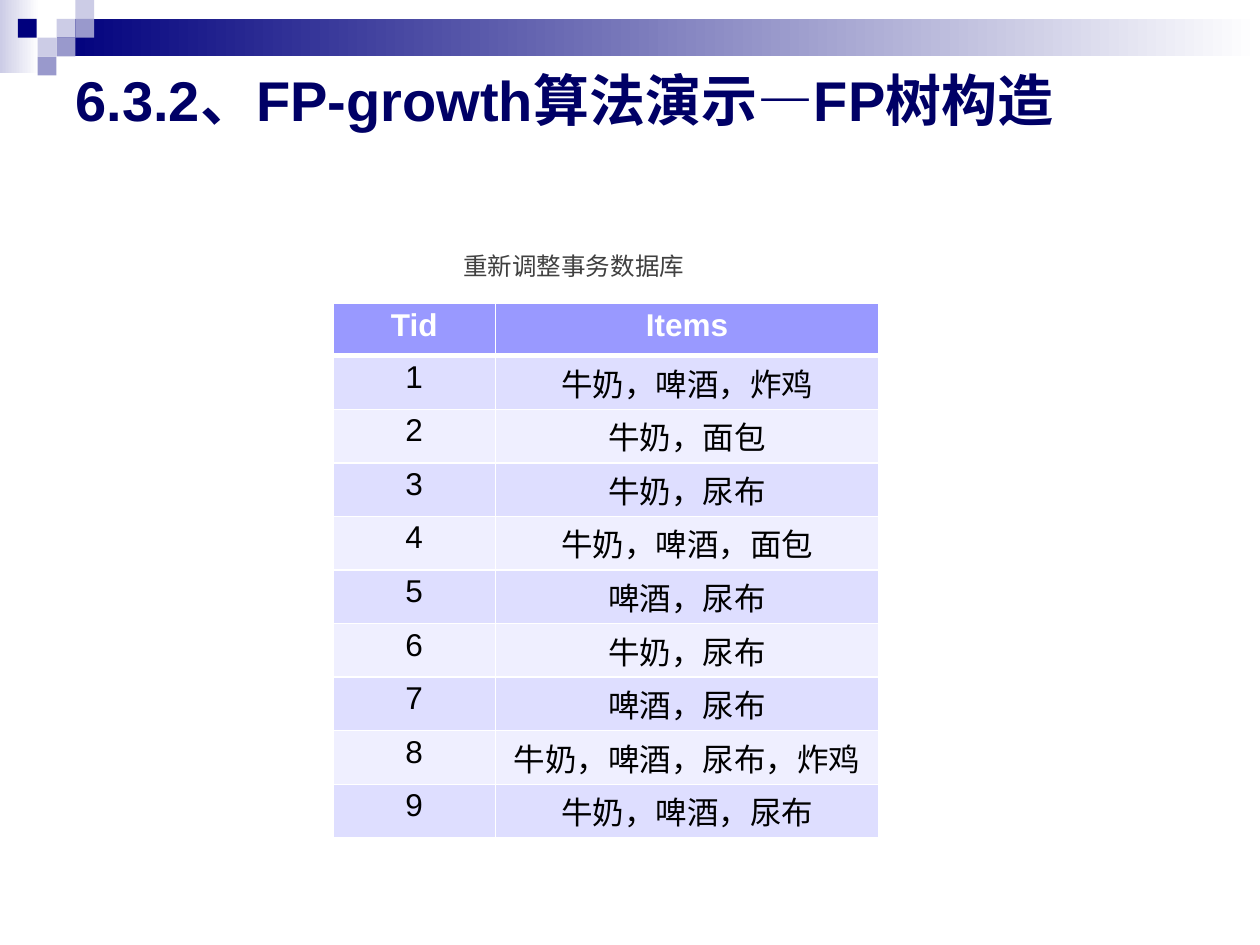
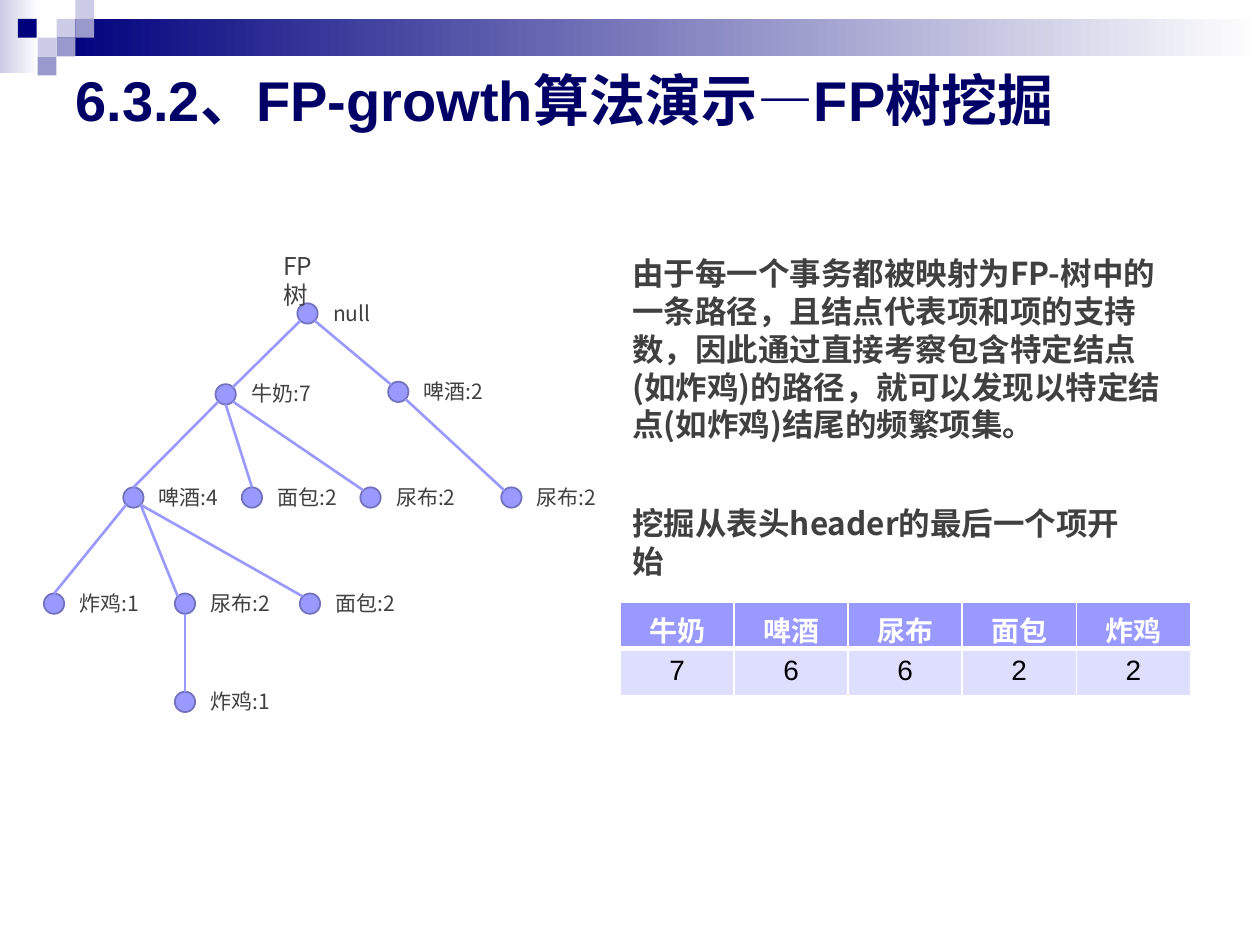
from lxml.etree import SubElement
from pptx import Presentation
from pptx.dml.color import RGBColor
from pptx.enum.shapes import MSO_CONNECTOR, MSO_SHAPE
from pptx.enum.text import MSO_ANCHOR, MSO_AUTO_SIZE, PP_ALIGN
from pptx.oxml.ns import qn
from pptx.util import Cm, Pt

COLORS = {
    "navy": "00007D", "title": "000066", "pale": "CCCCE6", "mid": "9999CC",
    "accent": "9999FF", "outline": "7171BD", "band": "DEDEFF",
    "light_band": "EFEFFF", "text": "404040", "black": "000000", "white": "FFFFFF",
}
LATIN_FONT = "Arial"
CHINESE_FONT = "Noto Sans CJK SC"

SQUARE = 0.38
# column, row and colour of each square in the corner pattern
CORNER_SQUARES = [
    (3, 1, "pale"), (4, 0, "pale"), (4, 1, "mid"), (2, 2, "pale"),
    (0.95, 1, "navy"), (3, 2, "mid"), (2, 3, "mid"),
]

TRANSACTIONS = [
    ("Tid", "Items"),
    ("1", "牛奶，啤酒，炸鸡"),
    ("2", "牛奶，面包"),
    ("3", "牛奶，尿布"),
    ("4", "牛奶，啤酒，面包"),
    ("5", "啤酒，尿布"),
    ("6", "牛奶，尿布"),
    ("7", "啤酒，尿布"),
    ("8", "牛奶，啤酒，尿布，炸鸡"),
    ("9", "牛奶，啤酒，尿布"),
]
HEADER_COUNTS = [("牛奶", "啤酒", "尿布", "面包", "炸鸡"), ("7", "6", "6", "2", "2")]

NODE_SIZE = 0.41
# label and centre of each node, in cm from the tree's corner
TREE_NODES = {
    "root": ("null", 5.31, 1.39),
    "milk": ("牛奶:7", 3.66, 3.02),
    "beer": ("啤酒:2", 7.14, 2.97),
    "milk beer": ("啤酒:4", 1.8, 5.1),
    "milk bread": ("面包:2", 4.19, 5.1),
    "milk diaper": ("尿布:2", 6.58, 5.1),
    "beer diaper": ("尿布:2", 9.42, 5.1),
    "milk beer chicken": ("炸鸡:1", 0.2, 7.24),
    "milk beer diaper": ("尿布:2", 2.84, 7.24),
    "milk beer bread": ("面包:2", 5.36, 7.24),
    "last chicken": ("炸鸡:1", 2.84, 9.22),
}
# direction from a node's centre to a point on its rim
DIAGONAL = 0.71
RIM = {
    "top": (0, -1), "bottom": (0, 1),
    "top left": (-DIAGONAL, -DIAGONAL), "top right": (DIAGONAL, -DIAGONAL),
    "bottom left": (-DIAGONAL, DIAGONAL), "bottom right": (DIAGONAL, DIAGONAL),
}
TREE_EDGES = [
    ("root", "bottom left", "milk", "top right"),
    ("root", "bottom right", "beer", "top left"),
    ("milk", "bottom left", "milk beer", "top"),
    ("milk", "bottom", "milk bread", "top"),
    ("milk beer", "bottom left", "milk beer chicken", "top"),
    ("milk beer", "bottom right", "milk beer diaper", "top left"),
    ("milk beer diaper", "bottom", "last chicken", "top"),
    ("milk beer", "bottom right", "milk beer bread", "top left"),
    ("milk", "bottom right", "milk diaper", "top left"),
    ("beer", "bottom right", "beer diaper", "top left"),
]


def rgb(name):
    return RGBColor.from_string(COLORS[name])


def write_text(frame, text, size=12, font=CHINESE_FONT, color="text", bold=False,
               align=PP_ALIGN.LEFT):
    paragraph = frame.paragraphs[0]
    paragraph.alignment = align
    run = paragraph.add_run()
    run.text = text
    run.font.size = Pt(size)
    run.font.name = font
    run.font.bold = bold
    run.font.color.rgb = rgb(color)
    if font == CHINESE_FONT:
        SubElement(run.font._element, qn("a:ea"), typeface=font)


def add_text(slide, box, text, **text_format):
    frame = slide.shapes.add_textbox(*map(Cm, box)).text_frame
    frame.word_wrap = True
    write_text(frame, text, **text_format)


def add_filled_shape(slide, kind, box, color, fade=False, outline=None):
    shape = slide.shapes.add_shape(kind, *map(Cm, box))
    shape.shadow.inherit = False
    if fade:
        shape.fill.gradient()
        shape.fill.gradient_angle = 0
        for stop, name in zip(shape.fill.gradient_stops, (color, "white")):
            stop.color.rgb = rgb(name)
    else:
        shape.fill.solid()
        shape.fill.fore_color.rgb = rgb(color)
    if outline:
        shape.line.color.rgb = rgb(outline)
        shape.line.width = Pt(1)
    else:
        shape.line.fill.background()
    return shape


def decorate_layout(layout, slide):
    """Draw the top band on a slide, then move it behind the layout's placeholders."""
    rectangle = MSO_SHAPE.RECTANGLE
    band = [
        add_filled_shape(slide, rectangle, (0, 0, 0.79, 1.47), "pale", fade=True),
        add_filled_shape(slide, rectangle, (3 * SQUARE, SQUARE, 24.26, 2 * SQUARE),
                         "navy", fade=True),
    ]
    for column, row, color in CORNER_SQUARES:
        box = (column * SQUARE, row * SQUARE, SQUARE, SQUARE)
        band.append(add_filled_shape(slide, rectangle, box, color))
    for index, shape in enumerate(band, start=2):
        layout.shapes.element.insert(index, shape.element)


def place_layout_title(layout):
    title = layout.placeholders[0]
    title.left, title.top, title.width, title.height = map(Cm, (1.27, 1.27, 22.86, 1.45))


def add_title(slide, text):
    frame = slide.shapes.title.text_frame
    frame.auto_size = MSO_AUTO_SIZE.NONE
    frame.vertical_anchor = MSO_ANCHOR.MIDDLE
    write_text(frame, text, size=32, font=LATIN_FONT, color="title", bold=True)


def set_borders(cell, top, bottom):
    """Give a cell white borders; top and bottom are widths in points."""
    properties = cell._tc.get_or_add_tcPr()
    for index, (side, width) in enumerate(
            [("L", 1), ("R", 1), ("T", top), ("B", bottom)]):
        line = SubElement(properties, qn(f"a:ln{side}"), w=str(Pt(width)))
        fill = SubElement(line, qn("a:solidFill"))
        SubElement(fill, qn("a:srgbClr"), val=COLORS["white"])
        properties.insert(index, line)


def add_banded_table(slide, left, top, rows, column_widths, row_height, size, margins):
    box = (left, top, sum(column_widths), row_height * len(rows))
    table = slide.shapes.add_table(len(rows), len(column_widths), *map(Cm, box)).table
    for column, width in zip(table.columns, column_widths):
        column.width = Cm(width)
    for row_index, values in enumerate(rows):
        is_header = row_index == 0
        band = "band" if row_index % 2 else "light_band"
        table.rows[row_index].height = Cm(row_height)
        for cell, text in zip(table.rows[row_index].cells, values):
            cell.margin_left = cell.margin_right = Cm(margins[0])
            cell.margin_top = cell.margin_bottom = Cm(margins[1])
            cell.fill.solid()
            cell.fill.fore_color.rgb = rgb("accent" if is_header else band)
            set_borders(cell, 3 if row_index == 1 else 1, 3 if is_header else 1)
            write_text(cell.text_frame, text, size=size, font=LATIN_FONT,
                       color="white" if is_header else "black", bold=is_header,
                       align=PP_ALIGN.CENTER)


def rim_point(left, top, node, side):
    _, x, y = TREE_NODES[node]
    dx, dy = RIM[side]
    return Cm(left + x + dx * NODE_SIZE / 2), Cm(top + y + dy * NODE_SIZE / 2)


def add_tree(slide, left, top):
    circles = {}
    for node, (label, x, y) in TREE_NODES.items():
        node_left, node_top = left + x - NODE_SIZE / 2, top + y - NODE_SIZE / 2
        circles[node] = add_filled_shape(
            slide, MSO_SHAPE.OVAL, (node_left, node_top, NODE_SIZE, NODE_SIZE),
            "accent", outline="outline")
        width = 1.27 if node == "root" else 1.73
        add_text(slide, (node_left + 0.47, node_top - 0.19, width, 0.76), label)
    for parent, parent_side, child, child_side in TREE_EDGES:
        edge = slide.shapes.add_connector(
            MSO_CONNECTOR.STRAIGHT, *rim_point(left, top, parent, parent_side),
            *rim_point(left, top, child, child_side))
        if child_side == "top":
            edge.end_connect(circles[child], 0)
        edge.line.color.rgb = rgb("accent")
        edge.line.width = Pt(1.5)
        SubElement(edge.element.spPr, qn("a:effectLst"))
    add_text(slide, (left + 4.57, top, 1.57, 0.86), "FP树", size=14)


def add_mining_notes(slide, left, top):
    add_text(slide, (left, top, 11.2, 4.11),
             "由于每一个事务都被映射为FP-树中的一条路径，且结点代表项和项的支持数，"
             "因此通过直接考察包含特定结点(如炸鸡)的路径，"
             "就可以发现以特定结点(如炸鸡)结尾的频繁项集。", size=18, bold=True)
    add_text(slide, (left, top + 5.03, 10.85, 1.02),
             "挖掘从表头header的最后一个项开始", size=18, bold=True)
    add_banded_table(slide, left, top + 7.14, HEADER_COUNTS, [2.3] * 5,
                     row_height=0.93, size=16, margins=(0.25, 0.13))


def build_construction_slide(slide):
    add_title(slide, "6.3.2、FP-growth算法演示—FP树构造")
    add_banded_table(slide, 6.71, 6.12, TRANSACTIONS, [3.28, 7.72],
                     row_height=1.05, size=18, margins=(0.15, 0.08))
    add_text(slide, (9.09, 4.93, 5.2, 0.86), "重新调整事务数据库", size=14)


def build_mining_slide(slide):
    add_title(slide, "6.3.2、FP-growth算法演示—FP树挖掘")
    add_tree(slide, left=0.89, top=4.93)
    add_mining_notes(slide, left=12.5, top=5)


def main():
    presentation = Presentation()
    presentation.slide_width, presentation.slide_height = Cm(25.4), Cm(19.05)
    layout = presentation.slide_layouts.get_by_name("Title Only")
    place_layout_title(layout)
    construction_slide = presentation.slides.add_slide(layout)
    decorate_layout(layout, construction_slide)
    build_construction_slide(construction_slide)
    build_mining_slide(presentation.slides.add_slide(layout))
    presentation.save("out.pptx")


if __name__ == "__main__":
    main()
